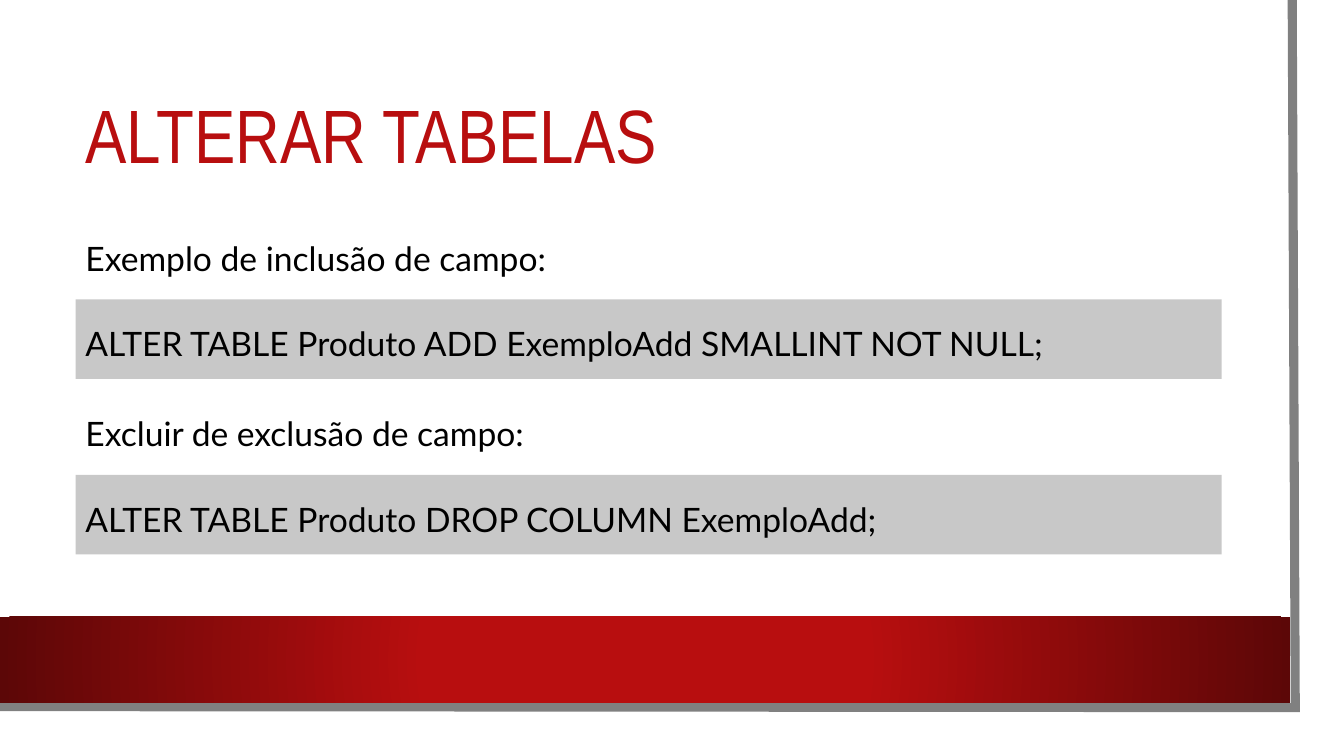
from lxml import etree
from pptx import Presentation
from pptx.dml.color import RGBColor
from pptx.enum.shapes import MSO_SHAPE as Kind
from pptx.enum.text import MSO_ANCHOR as Anchor, PP_ALIGN as Align
from pptx.oxml.ns import qn
from pptx.util import Pt

RED = RGBColor(0xB8, 0x0E, 0x0F)
DARK = RGBColor(0x5C, 0x07, 0x07)
GRAY = RGBColor(0x80, 0x80, 0x80)
PALE = RGBColor(0xC8, 0xC8, 0xC8)
WHITE = RGBColor(0xFF, 0xFF, 0xFF)
BLACK = RGBColor(0, 0, 0)

LEFT, WIDTH = 54, 818.64
TOP, STEP = 159.84, 125.28
HEAD = {"name": "Arial Narrow", "size": Pt(54), "color": RED}
BODY = {"name": "Lato", "size": Pt(24), "color": BLACK}
TITLE = {"line_spacing": 0.9, "alignment": Align.LEFT}
LABEL = {"line_spacing": Pt(35), "alignment": Align.JUSTIFY}
CODE = {"line_spacing": 1.2, "space_before": Pt(10), "alignment": Align.JUSTIFY}
PAIRS = [
    ("Exemplo de inclusão de campo:",
     "ALTER TABLE Produto ADD ExemploAdd SMALLINT NOT NULL;"),
    ("Excluir de exclusão de campo:",
     "ALTER TABLE Produto DROP COLUMN ExemploAdd;"),
]


class Deck:
    """Draws styled elements on the current slide, in points."""

    def __init__(self):
        self.prs = Presentation()
        self.prs.slide_width, self.prs.slide_height = Pt(960), Pt(540)
        self.slide = self.prs.slides.add_slide(self.prs.slide_layouts[6])
        self.shapes = self.slide.shapes

    def rect(self, box, color):
        shape = self.shapes.add_shape(Kind.RECTANGLE, *map(Pt, box))
        shape.shadow.inherit = False
        shape.fill.solid()
        shape.fill.fore_color.rgb = color
        shape.line.fill.background()
        return shape

    def glow(self, box, stops):
        shape = self.rect(box, RED)
        shape.fill.gradient()
        for stop, (spot, color) in zip(shape.fill.gradient_stops, stops):
            stop.position = spot
            stop.color.rgb = color
        grad = shape.element.spPr.find(qn("a:gradFill"))
        grad.remove(grad.find(qn("a:lin")))
        ring = etree.Element(qn("a:path"), {"path": "circle"})
        etree.SubElement(ring, qn("a:fillToRect"),
                         dict.fromkeys("ltrb", "50000"))
        grad.find(qn("a:gsLst")).addnext(ring)

    def edge(self, spots, color, width):
        first, *rest = [tuple(map(Pt, spot)) for spot in spots]
        draft = self.shapes.build_freeform(*first)
        draft.add_line_segments(rest, close=False)
        shape = draft.convert_to_shape()
        shape.shadow.inherit = False
        shape.fill.background()
        shape.line.color.rgb = color
        shape.line.width = Pt(width)
        line = shape.element.spPr.find(qn("a:ln"))
        etree.SubElement(line, qn("a:miter"), {"lim": "800000"})

    def put(self, shape, text, font, form, anchor):
        frame = shape.text_frame
        frame.word_wrap = True
        frame.vertical_anchor = anchor
        para = frame.paragraphs[0]
        for key, value in form.items():
            setattr(para, key, value)
        run = para.add_run()
        run.text = text
        for key, value in font.items():
            if key == "color":
                run.font.color.rgb = value
            else:
                setattr(run.font, key, value)

    def label(self, box, text, font, form, anchor=Anchor.TOP):
        shape = self.shapes.add_textbox(*map(Pt, box))
        self.put(shape, text, font, form, anchor)

    def code(self, box, text):
        self.put(self.rect(box, PALE), text, BODY, CODE, Anchor.MIDDLE)

    def save(self):
        self.prs.save("out.pptx")


def main():
    deck = Deck()
    deck.rect((0, 0, 943.2, 523.44), WHITE)
    deck.edge([(923.04, 0), (925.2, 505.44), (-2.16, 504.72)], GRAY, 6.5)
    deck.glow((0, 440.64, 921.6, 61.2), [(0.34, RED), (1, DARK)])
    deck.label((LEFT, 54, WIDTH, 90.72), "ALTERAR TABELAS", HEAD, TITLE,
               Anchor.MIDDLE)
    for row, (label, code) in enumerate(PAIRS):
        top = TOP + row * STEP
        deck.label((LEFT, top, WIDTH, 39.6), label, BODY, LABEL)
        deck.code((LEFT, top + 54, WIDTH, 56.88), code)
    deck.save()


if __name__ == "__main__":
    main()
